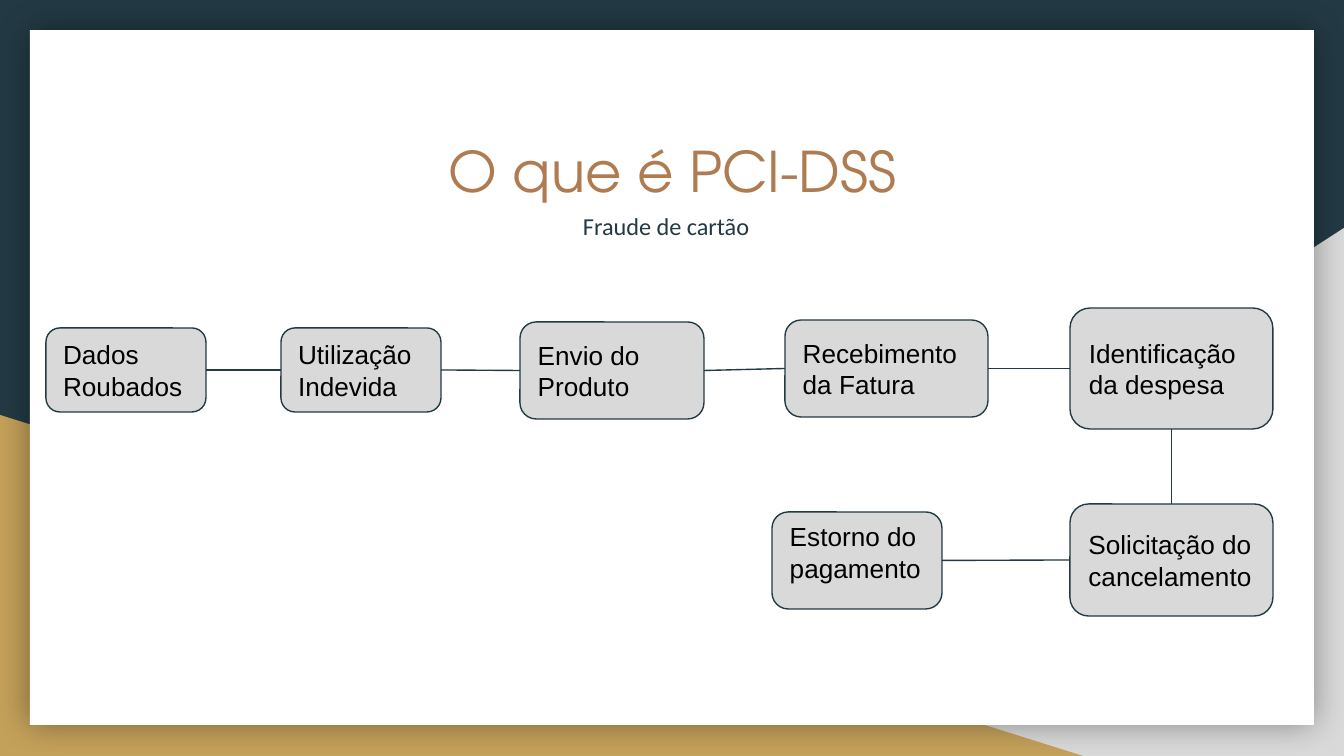
from dataclasses import dataclass

from lxml import etree
from pptx import Presentation
from pptx.dml.color import RGBColor
from pptx.enum.shapes import MSO_CONNECTOR as Conn, MSO_SHAPE as Geo
from pptx.enum.text import MSO_ANCHOR as Anchor, MSO_AUTO_SIZE as Fit, PP_ALIGN as Align
from pptx.oxml import parse_xml
from pptx.oxml.ns import nsdecls, qn
from pptx.util import Pt

NAVY = RGBColor(0x23, 0x3A, 0x44)
GOLD = RGBColor(0xC4, 0xA1, 0x5A)
COPPER = RGBColor(0xAF, 0x7B, 0x51)
GRAY = RGBColor(0xD9, 0xD9, 0xD9)
WHITE = RGBColor(0xFF, 0xFF, 0xFF)
BLACK = RGBColor(0x00, 0x00, 0x00)

WIDTH, HEIGHT = 1344, 756
SCALE = 9144000 / WIDTH  # EMU per px
INSET = 13
TOP, LEFT, BOTTOM, RIGHT = range(4)  # connection sites of a box


def px(n: int) -> int:
    return round(n * SCALE)


@dataclass
class Step:
    text: str
    x: int
    y: int
    w: int
    h: int
    anchor: Anchor = Anchor.MIDDLE
    inset_top: int = INSET


@dataclass
class Link:
    start: int
    start_site: int
    end: int
    end_site: int


STEPS = [
    Step("Dados Roubados", 46, 328, 160, 84),
    Step("Utilização Indevida", 281, 328, 160, 84),
    Step("Envio do Produto", 520, 322, 184, 97),
    Step("Recebimento da Fatura", 785, 320, 203, 97),
    Step("Identificação da despesa", 1070, 308, 203, 121),
    Step("Solicitação do cancelamento", 1070, 504, 203, 112),
    Step("Estorno do pagamento", 772, 512, 170, 97, Anchor.TOP, 4),
]
LINKS = [Link(i, RIGHT, i + 1, LEFT) for i in range(4)]
LINKS += [Link(4, BOTTOM, 5, TOP), Link(6, RIGHT, 5, LEFT)]


def add_shape(s, geo: Geo, box: tuple, color: RGBColor):
    sp = s.shapes.add_shape(geo, *map(px, box))
    sp.shadow.inherit = False
    sp.fill.solid()
    sp.fill.fore_color.rgb = color
    sp.line.fill.background()
    return sp


def write(sp, text: str, font: dict, align: Align, anchor: Anchor,
          inset_top: int = INSET):
    tf = sp.text_frame
    frame = dict(word_wrap=True, auto_size=Fit.NONE, vertical_anchor=anchor,
                 margin_left=px(INSET), margin_right=px(INSET),
                 margin_top=px(inset_top), margin_bottom=px(INSET))
    for name, value in frame.items():
        setattr(tf, name, value)
    p = tf.paragraphs[0]
    p.alignment = align
    r = p.add_run()
    r.text = text
    r.font.color.rgb = font["color"]
    for name in ("name", "size"):
        setattr(r.font, name, font[name])
    return p


def place(s, sp, x: int, y: int, w: int, h: int) -> None:
    """Position a placeholder and bring it in front of the backdrop."""
    for name, value in dict(left=x, top=y, width=w, height=h).items():
        setattr(sp, name, px(value))
    s.shapes._spTree.append(sp._element)


def add_backdrop(s) -> None:
    s.background.fill.solid()
    s.background.fill.fore_color.rgb = NAVY
    corner = add_shape(s, Geo.RIGHT_TRIANGLE, (527, 228, 817, 528), GRAY)
    corner._element.spPr.find(qn("a:xfrm")).set("flipH", "1")
    add_shape(s, Geo.RIGHT_TRIANGLE, (0, 415, 1083, 341), GOLD)
    card = add_shape(s, Geo.RECTANGLE, (30, 30, 1284, 695), WHITE)
    effects = card._element.spPr.find(qn("a:effectLst"))
    effects.append(parse_xml(
        f'<a:outerShdw {nsdecls("a")} blurRad="{Pt(18)}" dist="0" dir="0" '
        'algn="ctr" rotWithShape="0"><a:srgbClr val="000000">'
        '<a:alpha val="40000"/></a:srgbClr></a:outerShdw>'))


def add_headings(s) -> None:
    title, body = s.shapes.title, s.placeholders[1]
    place(s, title, 121, 124, 1103, 140)
    write(title, "O que é PCI-DSS",
          dict(name="TeX Gyre Adventor", size=Pt(30), color=COPPER),
          Align.CENTER, Anchor.TOP)
    place(s, body, 570, 194, 203, 58)
    p = write(body, "Fraude de cartão",
              dict(name="Calibri", size=Pt(13), color=NAVY),
              Align.LEFT, Anchor.TOP)
    p.line_spacing = 1.15
    p.space_before = Pt(0)
    pPr = p._p.get_or_add_pPr()
    pPr.set("marL", "0")
    pPr.set("indent", "0")
    etree.SubElement(pPr, qn("a:buNone"))


def outline(sp) -> None:
    sp.line.color.rgb = NAVY
    sp.line.width = Pt(0.75)


def add_step(s, step: Step):
    sp = add_shape(s, Geo.ROUNDED_RECTANGLE, (step.x, step.y, step.w, step.h), GRAY)
    outline(sp)
    write(sp, step.text, dict(name="Arial", size=Pt(14), color=BLACK),
          Align.LEFT, step.anchor, step.inset_top)
    return sp


def add_link(s, boxes: list, link: Link) -> None:
    line = s.shapes.add_connector(Conn.STRAIGHT, 0, 0, 0, 0)
    line.begin_connect(boxes[link.start], link.start_site)
    line.end_connect(boxes[link.end], link.end_site)
    outline(line)
    etree.SubElement(line._element.spPr, qn("a:effectLst"))


def main() -> None:
    prs = Presentation()
    prs.slide_width, prs.slide_height = px(WIDTH), px(HEIGHT)
    s = prs.slides.add_slide(prs.slide_layouts[1])
    add_backdrop(s)
    add_headings(s)
    # Fraud flow: boxes first, then the lines between them
    boxes = [add_step(s, step) for step in STEPS]
    for link in LINKS:
        add_link(s, boxes, link)
    prs.save("out.pptx")


if __name__ == "__main__":
    main()
